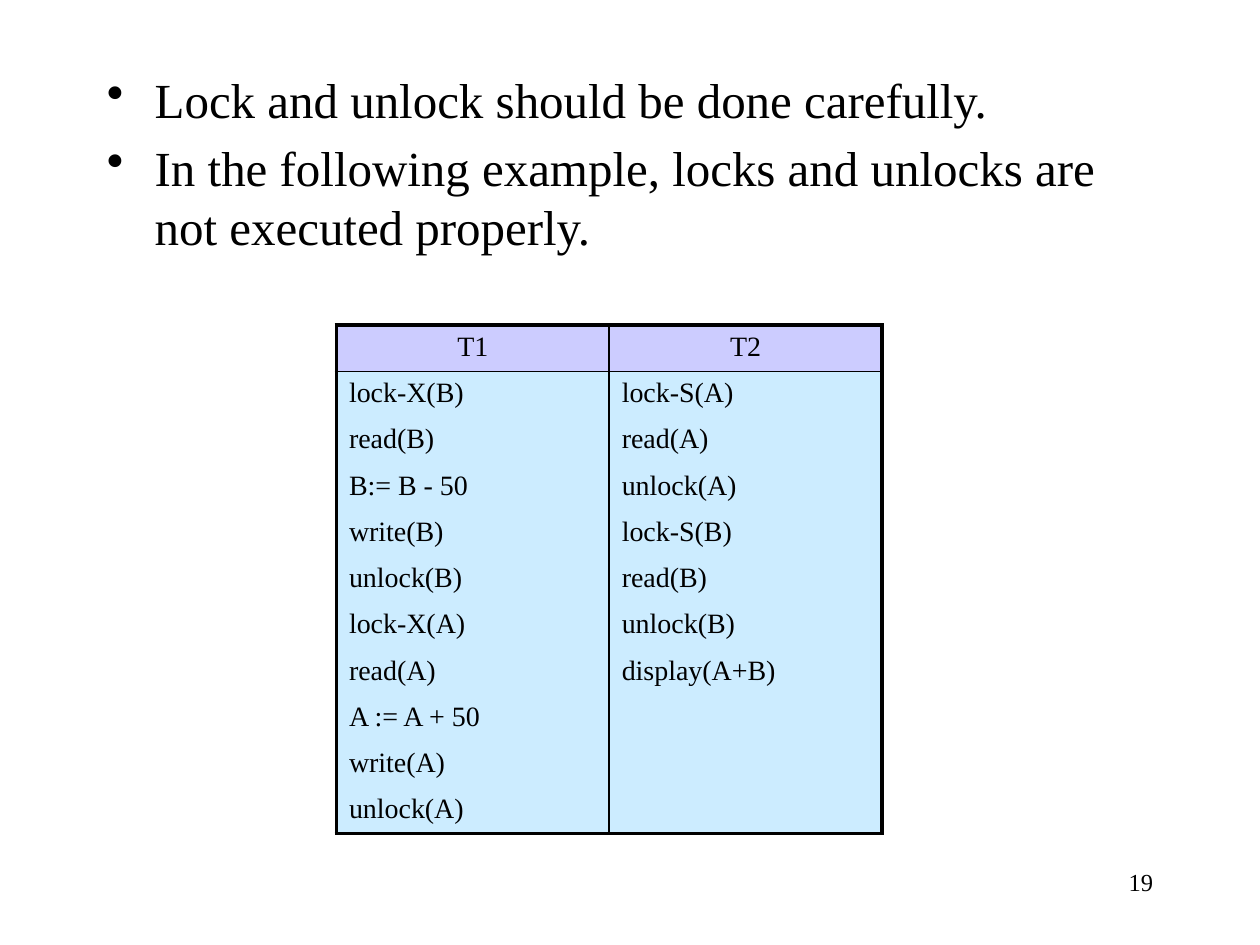
from itertools import zip_longest

from lxml.etree import SubElement
from pptx import Presentation
from pptx.dml.color import RGBColor
from pptx.enum.text import PP_ALIGN as Align
from pptx.oxml.ns import qn
from pptx.util import Inches, Pt

BULLETS = [
    "Lock and unlock should be done carefully.",
    "In the following example, locks and unlocks are not executed properly.",
]
SCHEDULES = {
    "T1": ["lock-X(B)", "read(B)", "B:= B - 50", "write(B)", "unlock(B)",
           "lock-X(A)", "read(A)", "A := A + 50", "write(A)", "unlock(A)"],
    "T2": ["lock-S(A)", "read(A)", "unlock(A)", "lock-S(B)", "read(B)",
           "unlock(B)", "display(A+B)"],
}
PAGE_NUMBER = "19"

THEME = {
    "font": "Times New Roman",
    "text": "000000", "border": "000000", "header": "CCCCFF", "body": "CCECFF",
    "bullet_size": 28, "table_size": 16, "number_size": 14,
    "outer_line": 2.25, "inner_line": 1,
    "space_before": 0.2,
}


def write(paragraph, text, size, **formats):
    for name, value in formats.items():
        setattr(paragraph, name, value)
    run = paragraph.add_run()
    run.text = text
    for name, value in {"name": THEME["font"], "size": Pt(size)}.items():
        setattr(run.font, name, value)
    run.font.color.rgb = RGBColor.from_string(THEME["text"])


def space_before(size):
    return Pt(round(size * THEME["space_before"], 1))


def add_text_frame(slide, left, top, width, height):
    box = slide.shapes.add_textbox(*map(Inches, (left, top, width, height)))
    box.text_frame.word_wrap = True
    return box.text_frame


def add_bullets(slide):
    frame = add_text_frame(slide, 0.75, 0.5, 8.5, 6.5)
    size = THEME["bullet_size"]
    for index, text in enumerate(BULLETS):
        paragraph = frame.add_paragraph() if index else frame.paragraphs[0]
        write(paragraph, text, size, space_before=space_before(size))
        properties = paragraph._p.get_or_add_pPr()
        indent = Inches(0.38)
        properties.set("marL", str(indent))
        properties.set("indent", str(-indent))
        SubElement(properties, qn("a:buChar"), char="•")


def set_borders(cell, widths):
    """Draw the left, right, top and bottom edges; a width of 0 hides one."""
    properties = cell._tc.get_or_add_tcPr()
    for side, width in zip("LRTB", widths):
        line = SubElement(properties, qn(f"a:ln{side}"), w=str(Pt(width)))
        if width:
            fill = SubElement(line, qn("a:solidFill"))
            SubElement(fill, qn("a:srgbClr"), val=THEME["border"])
        else:
            SubElement(line, qn("a:noFill"))


def add_schedule_table(slide):
    rows = [tuple(SCHEDULES), *zip_longest(*SCHEDULES.values(), fillvalue="")]
    last_row, last_column = len(rows) - 1, len(SCHEDULES) - 1
    table = slide.shapes.add_table(
        len(rows), len(SCHEDULES),
        Inches(2.67), Inches(2.58), Inches(4.33), Inches(4.03)).table
    table.first_row = table.horz_banding = False
    outer, inner = THEME["outer_line"], THEME["inner_line"]
    size = THEME["table_size"]

    for row, texts in enumerate(rows):
        for column, text in enumerate(texts):
            cell = table.cell(row, column)
            is_header = row == 0
            set_borders(cell, (
                outer if column == 0 else inner,
                outer if column == last_column else inner,
                outer if is_header else inner if row == 1 else 0,
                outer if row == last_row else inner if is_header else 0,
            ))
            cell.fill.solid()
            cell.fill.fore_color.rgb = RGBColor.from_string(
                THEME["header" if is_header else "body"])
            paragraph = cell.text_frame.paragraphs[0]
            if text:
                write(paragraph, text, size, space_before=space_before(size),
                      alignment=Align.CENTER if is_header else Align.LEFT)
            else:
                SubElement(paragraph._p, qn("a:endParaRPr"), sz=str(size * 100))


def add_page_number(slide):
    frame = add_text_frame(slide, 7.17, 6.83, 2.08, 0.5)
    write(frame.paragraphs[0], PAGE_NUMBER, THEME["number_size"],
          alignment=Align.RIGHT)


def main():
    presentation = Presentation()
    presentation.slide_width, presentation.slide_height = Inches(10), Inches(7.5)
    slide = presentation.slides.add_slide(presentation.slide_layouts[6])
    add_page_number(slide)
    add_bullets(slide)
    add_schedule_table(slide)
    presentation.save("out.pptx")


if __name__ == "__main__":
    main()
